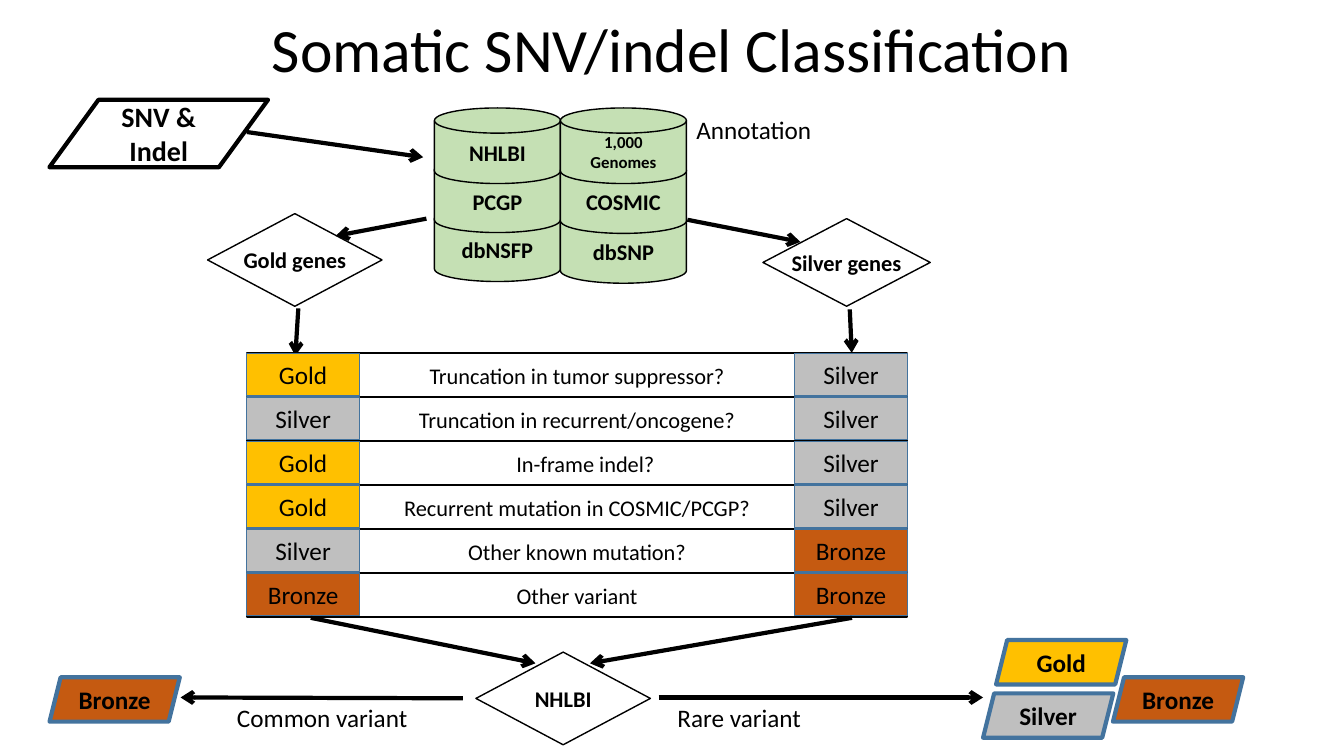
from pptx import Presentation
from pptx.util import Pt
from pptx.dml.color import RGBColor
from pptx.enum.shapes import MSO_SHAPE as Geo, MSO_CONNECTOR as Conn
from pptx.enum.text import PP_ALIGN as Align, MSO_ANCHOR as Anchor
from pptx.oxml.ns import qn
from lxml.etree import SubElement

FONT = "Calibri"
BLACK, GREEN, EDGE = "000000", "C5E0B4", "43739E"
FILLS = {"Gold": "FFC000", "Silver": "BFBFBF", "Bronze": "C55A11"}
ROWS = [  # question, gold gene class, silver gene class, left inset
    ("Truncation in tumor suppressor?", "Gold", "Silver", 0),
    ("Truncation in recurrent/oncogene?", "Silver", "Silver", 0),
    ("In-frame indel?", "Gold", "Silver", 12),
    ("Recurrent mutation in COSMIC/PCGP?", "Gold", "Silver", 0),
    ("Other known mutation?", "Silver", "Bronze", 0),
    ("Other variant", "Bronze", "Bronze", 0),
]


def color(code):
    return RGBColor.from_string(code)


def write(frame, text, size, bold=False, align=Align.CENTER):
    para = frame.paragraphs[0]
    para.alignment = align
    run = para.add_run()
    run.text = text
    run.font.name, run.font.size, run.font.bold = FONT, Pt(size), bold
    run.font.color.rgb = color(BLACK)


def label(slide, box, text, size=18, align=Align.LEFT):
    frame = slide.shapes.add_textbox(*map(Pt, box)).text_frame
    frame.word_wrap = align == Align.CENTER
    write(frame, text, size, align=align)


def block(slide, geo, box, text, size, bold=False, fill=None, edge=BLACK, width=1):
    """Add a preset shape with centred text and return it."""
    shape = slide.shapes.add_shape(geo, *map(Pt, box))
    shape.shadow.inherit = False
    if fill:
        shape.fill.solid()
        shape.fill.fore_color.rgb = color(fill)
    else:
        shape.fill.background()
    shape.line.color.rgb = color(edge)
    shape.line.width = Pt(width)
    frame = shape.text_frame
    frame.word_wrap = True
    frame.vertical_anchor = Anchor.MIDDLE
    write(frame, text, size, bold)
    return shape


def arrow(slide, x1, y1, x2, y2):
    line = slide.shapes.add_connector(Conn.STRAIGHT, *map(Pt, (x1, y1, x2, y2)))
    line.line.color.rgb = color(BLACK)
    line.line.width = Pt(3)
    SubElement(line.line._get_or_add_ln(), qn("a:tailEnd"), type="arrow")
    SubElement(line._element.spPr, qn("a:effectLst"))


def choice(slide, box, text):
    """Add a decision diamond whose text stays on one line."""
    frame = block(slide, Geo.DIAMOND, box, text, 16, True).text_frame
    frame.word_wrap = False
    frame.margin_left = frame.margin_right = 0


def stack(slide, x, y, step, names):
    """Pile up database discs, drawn from the bottom to the top."""
    for i, name in reversed(list(enumerate(names))):
        size = 12 if " " in name else 16
        block(slide, Geo.FLOWCHART_MAGNETIC_DISK, (x, y + i * step, 90, 54),
              name, size, True, GREEN)


def grid(slide, x, y, wide):
    """Add the questions, with a gold and a silver column at the sides."""
    pitch, cell = 31.4, 80.6
    for i, (ask, _, _, inset) in enumerate(ROWS):
        block(slide, Geo.RECTANGLE, (x + inset, y + i * pitch, wide - inset, pitch),
              ask, 16, width=1.5)
    for i, (_, gold, silver, _) in enumerate(ROWS):
        for left, name in ((x, gold), (x + wide - cell, silver)):
            block(slide, Geo.RECTANGLE, (left, y + i * pitch, cell, 30.4),
                  name, 18, fill=FILLS[name], edge=EDGE)


def result(slide, x, y, name):
    block(slide, Geo.PARALLELOGRAM, (x, y, 93, 31.7), name, 18, True,
          FILLS[name], EDGE, 3)


def source(slide, x, y):
    """Add the input variants and the databases that annotate them."""
    start = block(slide, Geo.PARALLELOGRAM, (x, y, 156.2, 48.2),
                  "SNV & Indel", 20, True, width=3)
    start.adjustments[0] = 0.728
    stack(slide, x + 275, y + 5.8, 35, ["NHLBI", "PCGP", "dbNSFP"])
    stack(slide, x + 365, y + 5.8, 35.6, ["1,000 Genomes", "COSMIC", "dbSNP"])
    arrow(slide, x + 141, y + 23, x + 267, y + 41)
    label(slide, (x + 455, y + 6.5, 98, 29), "Annotation")


def genes(slide, x, y):
    """Add the two gene decisions, with arrows into and out of them."""
    choice(slide, (x, y, 124.6, 66.2), "Gold genes")
    choice(slide, (x + 396.7, y + 3.6, 119.5, 62.6), "Silver genes")
    arrow(slide, x + 156.3, y + 3.6, x + 91.5, y + 15.9)
    arrow(slide, x + 342.7, y + 4.4, x + 423.4, y + 20.2)
    arrow(slide, x + 64.8, y + 67.7, x + 62.7, y + 101.5)
    arrow(slide, x + 458.7, y + 68.4, x + 460.1, y + 99.4)


def outcome(slide, x, y):
    """Add the frequency decision, with its common and rare results."""
    choice(slide, (x, y, 124.6, 66.2), "NHLBI")
    arrow(slide, x - 118, y - 24.5, x + 42.5, y + 8)
    arrow(slide, x + 268.6, y - 24.5, x + 81.4, y + 8)
    arrow(slide, x - 9.4, y + 33, x - 211, y + 32.4)
    arrow(slide, x + 130.4, y + 32.4, x + 362.2, y + 32.4)
    label(slide, (x - 177.8, y + 32.4, 137.5, 29), "Common variant")
    label(slide, (x + 136.8, y + 32.4, 103.7, 29), "Rare variant")
    result(slide, x - 304.6, y + 18, "Bronze")
    result(slide, x + 371.5, y - 8.6, "Gold")
    result(slide, x + 362.2, y + 29.5, "Silver")
    result(slide, x + 455, y + 18, "Bronze")


def main():
    deck = Presentation()
    deck.slide_width, deck.slide_height = Pt(960), Pt(540)
    slide = deck.slides.add_slide(deck.slide_layouts[6])
    label(slide, (156, 4.5, 648, 90), "Somatic SNV/indel Classification", 44, Align.CENTER)
    source(slide, 35.3, 71.3)
    genes(slide, 148.3, 152.6)
    grid(slide, 176.2, 252.4, 472)
    outcome(slide, 340, 465.8)
    deck.save("out.pptx")


if __name__ == "__main__":
    main()
